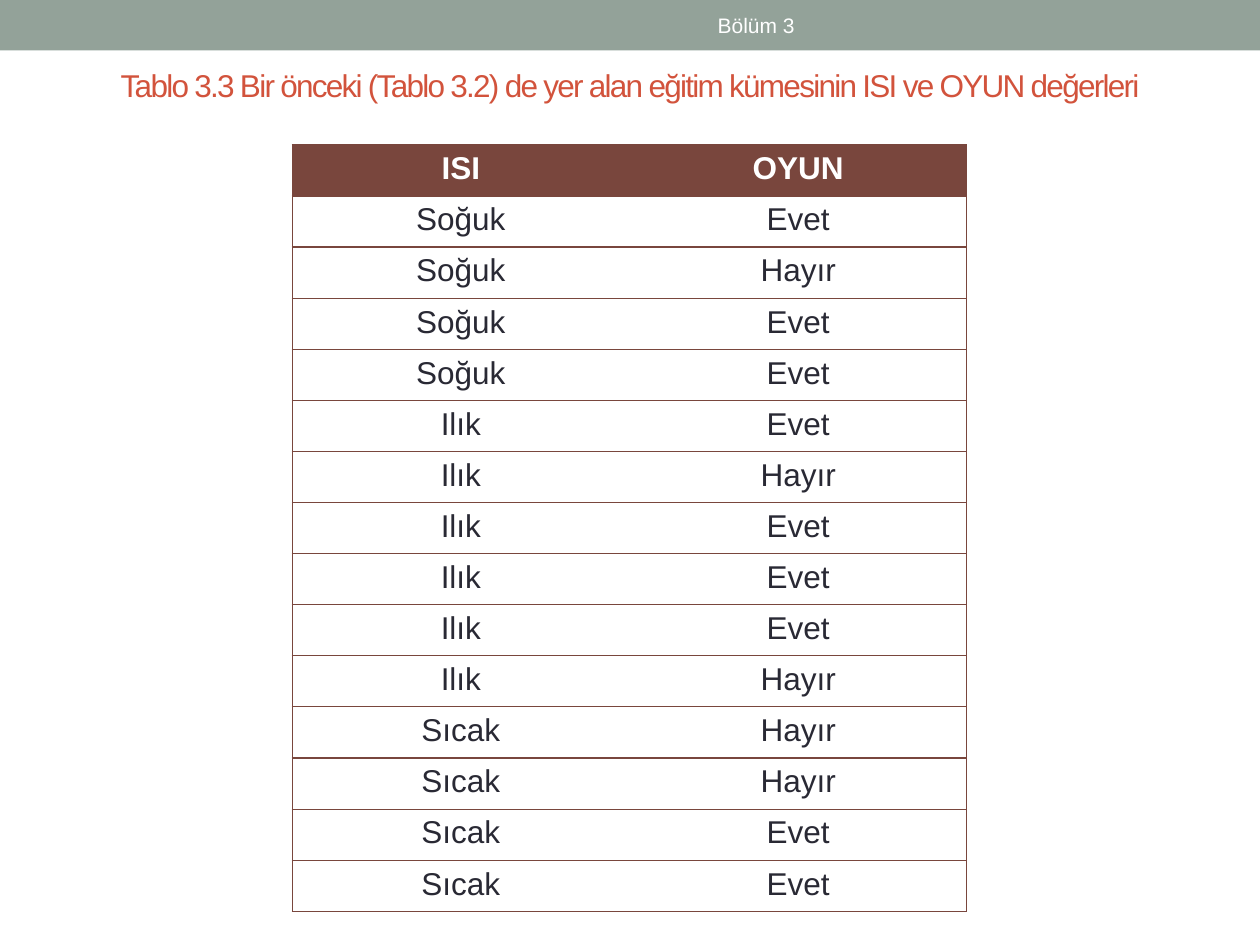
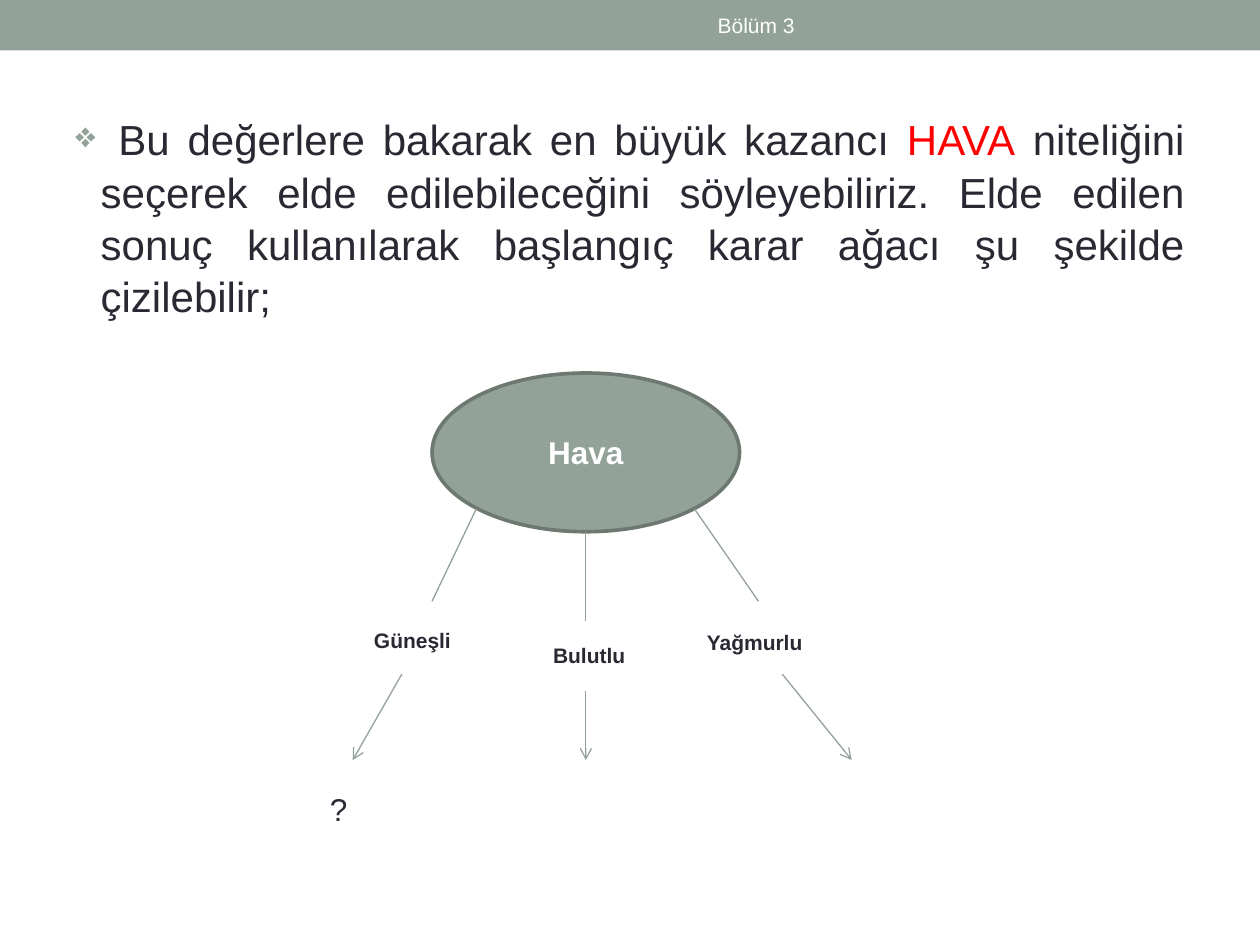
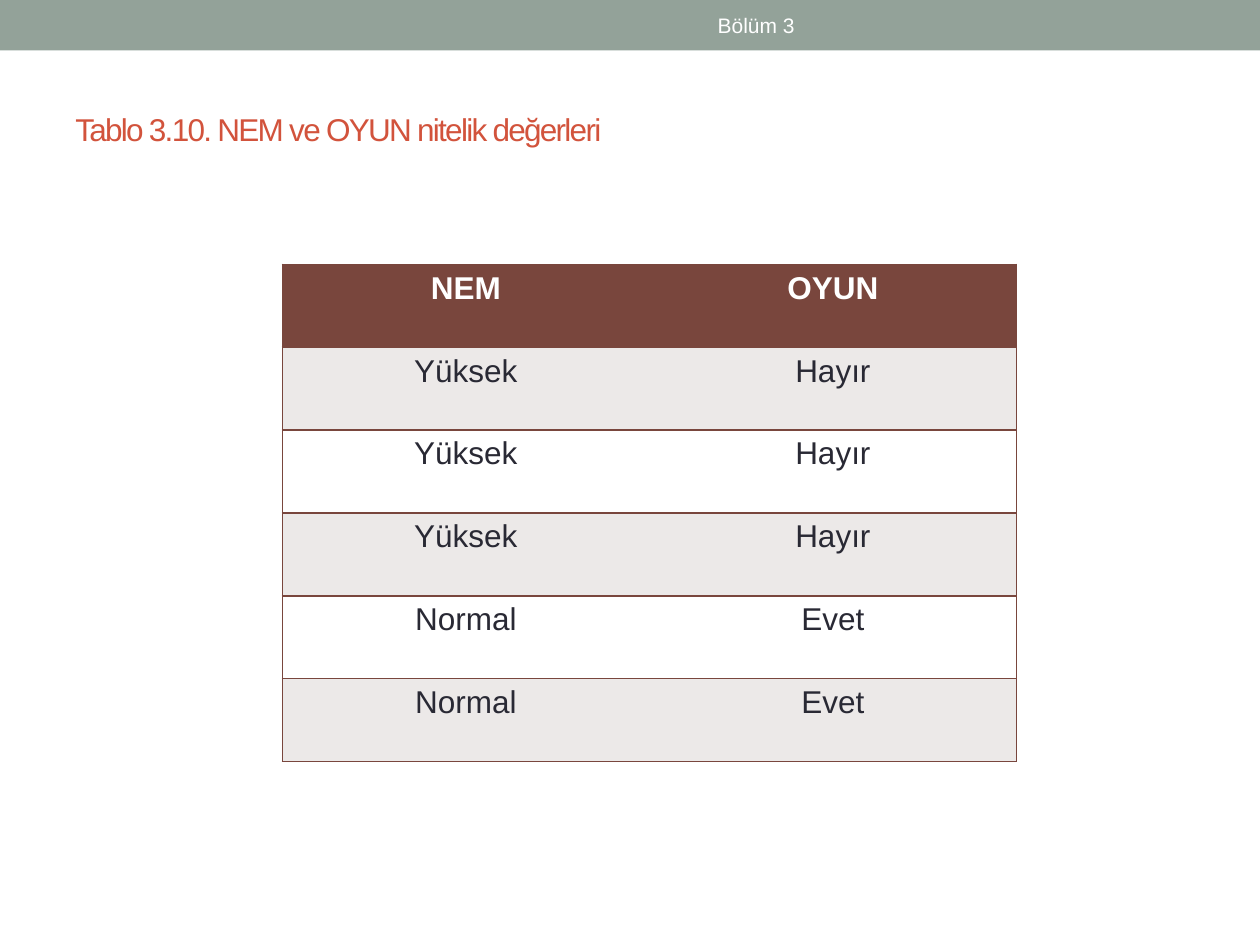
import dataclasses

import lxml.etree
import pptx
import pptx.dml.color
import pptx.enum.shapes
import pptx.enum.text
import pptx.oxml.ns
import pptx.util

Cm = pptx.util.Cm
Pt = pptx.util.Pt
Color = pptx.dml.color.RGBColor.from_string
qn = pptx.oxml.ns.qn
Align = pptx.enum.text.PP_ALIGN
Anchor = pptx.enum.text.MSO_ANCHOR
Shape = pptx.enum.shapes.MSO_SHAPE


@dataclasses.dataclass(frozen=True)
class Theme:
    font: str = "Arial"
    sage: str = "93A299"
    sage_dark: str = "6D7871"
    title: str = "D2533C"
    ink: str = "292934"
    white: str = "FFFFFF"
    accent: str = "FF0000"
    brown: str = "79463D"
    stripe: str = "ECE9E8"
    small: int = 12
    normal: int = 18
    large: int = 24


theme = Theme()


def write(frame, text, size, color, bold=False, align=Align.LEFT, anchor=Anchor.TOP):
    frame.text = text
    frame.word_wrap = True
    frame.vertical_anchor = anchor
    para = frame.paragraphs[0]
    para.alignment = align
    for span in para.runs:
        span.font.name = theme.font
        span.font.size = Pt(size)
        span.font.bold = bold
        span.font.color.rgb = Color(color)
    return para


def add_grid(page, rows, left, top, column_width, row_height, line_width, stripes):
    grid = page.shapes.add_table(
        len(rows), 2, Cm(left), Cm(top), Cm(2 * column_width), Cm(row_height * len(rows))
    ).table
    for row_index, values in enumerate(rows):
        grid.rows[row_index].height = Cm(row_height)
        header = row_index == 0
        for column_index, value in enumerate(values):
            cell = grid.cell(row_index, column_index)
            write(cell.text_frame, value, theme.normal,
                  theme.white if header else theme.ink, header, Align.CENTER)
            visible = {"L": column_index == 0, "R": column_index == 1, "T": True, "B": True}
            properties = cell._tc.get_or_add_tcPr()
            for side, shown in visible.items():
                border = lxml.etree.SubElement(properties, qn(f"a:ln{side}"))
                border.set("w", str(Pt(line_width)))
                if shown:
                    paint = lxml.etree.SubElement(border, qn("a:solidFill"))
                    lxml.etree.SubElement(paint, qn("a:srgbClr")).set("val", theme.brown)
                else:
                    lxml.etree.SubElement(border, qn("a:noFill"))
            if header or stripes:
                fill = theme.brown if header else (theme.white, theme.stripe)[row_index % 2]
                cell.fill.solid()
                cell.fill.fore_color.rgb = Color(fill)
            else:
                cell.fill.background()


deck = pptx.Presentation()
deck.slide_width = Cm(25.4)
deck.slide_height = Cm(19.05)

titles = [
    ("Tablo 3.3 Bir önceki (Tablo 3.2) de yer alan eğitim kümesinin ISI ve OYUN değerleri",
     0.91, 1.6, Align.CENTER),
    None,
    ("Tablo 3.10. NEM ve OYUN nitelik değerleri", 1.47, 2.24, Align.LEFT),
]
pages = []
for title in titles:
    page = deck.slides.add_slide(deck.slide_layouts[6])
    pages.append(page)
    band = page.shapes.add_shape(Shape.RECTANGLE, 0, 0, deck.slide_width, Cm(1.02))
    band.shadow.inherit = False
    band.fill.solid()
    band.fill.fore_color.rgb = Color(theme.sage)
    band.line.fill.background()
    chapter = page.shapes.add_textbox(Cm(9.53), Cm(0.05), Cm(11.43), Cm(0.91))
    write(chapter.text_frame, "Bölüm 3", theme.small, theme.white,
          align=Align.CENTER, anchor=Anchor.MIDDLE)
    if title:
        text, top, height, align = title
        box = page.shapes.add_textbox(Cm(1.27), Cm(top), Cm(22.86), Cm(height))
        para = write(box.text_frame, text, theme.normal, theme.title,
                     align=align, anchor=Anchor.MIDDLE)
        para.runs[0].font._element.set("spc", "-100")

heat_page, tree_page, humidity_page = pages

heat_rows = [
    ("ISI", "OYUN"),
    ("Soğuk", "Evet"),
    ("Soğuk", "Hayır"),
    ("Soğuk", "Evet"),
    ("Soğuk", "Evet"),
    ("Ilık", "Evet"),
    ("Ilık", "Hayır"),
    ("Ilık", "Evet"),
    ("Ilık", "Evet"),
    ("Ilık", "Evet"),
    ("Ilık", "Hayır"),
    ("Sıcak", "Hayır"),
    ("Sıcak", "Hayır"),
    ("Sıcak", "Evet"),
    ("Sıcak", "Evet"),
]
add_grid(heat_page, heat_rows, 5.89, 2.92, 6.8, 1.03, 0.75, stripes=False)

body = tree_page.shapes.add_textbox(Cm(1.27), Cm(2.13), Cm(22.86), Cm(15.88))
para = write(body.text_frame, " Bu değerlere bakarak en büyük kazancı ",
             theme.large, theme.ink, align=Align.JUSTIFY)
para.line_spacing = 1.04
properties = para._p.get_or_add_pPr()
properties.set("marL", str(Cm(0.51)))
properties.set("indent", str(-Cm(0.51)))
bullet_color = lxml.etree.SubElement(properties, qn("a:buClr"))
lxml.etree.SubElement(bullet_color, qn("a:srgbClr")).set("val", theme.sage)
lxml.etree.SubElement(properties, qn("a:buSzPct")).set("val", "85000")
lxml.etree.SubElement(properties, qn("a:buChar")).set("char", "❖")
for text, color in [
    ("HAVA", theme.accent),
    (" niteliğini seçerek elde edilebileceğini söyleyebiliriz. Elde edilen sonuç "
     "kullanılarak başlangıç karar ağacı şu şekilde çizilebilir;", theme.ink),
]:
    span = para.add_run()
    span.text = text
    span.font.name = theme.font
    span.font.size = Pt(theme.large)
    span.font.color.rgb = Color(color)

root = tree_page.shapes.add_shape(Shape.OVAL, Cm(8.71), Cm(7.52), Cm(6.2), Cm(3.2))
root.shadow.inherit = False
root.fill.solid()
root.fill.fore_color.rgb = Color(theme.sage)
root.line.color.rgb = Color(theme.sage_dark)
root.line.width = Pt(2.08)
write(root.text_frame, "Hava", theme.normal, theme.white, True, Align.CENTER, Anchor.MIDDLE)

branches = [
    ("Güneşli", (7.29, 12.52, 2.31), (9.6, 10.26, 8.71, 12.12), (8.1, 13.59, 7.11, 15.32)),
    ("Bulutlu", (10.9, 12.83, 2.21), (11.81, 10.72, 11.81, 12.52), (11.81, 13.92, 11.81, 15.32)),
    ("Yağmurlu", (14.0, 12.57, 2.49), (14.0, 10.26, 15.29, 12.12), (15.77, 13.59, 17.17, 15.32)),
]
for name, (left, top, width), stem, arrow in branches:
    label = tree_page.shapes.add_textbox(Cm(left), Cm(top), Cm(width), Cm(0.76))
    write(label.text_frame, name, theme.small, theme.ink, True)
    for ends in (stem, arrow):
        link = tree_page.shapes.add_connector(
            pptx.enum.shapes.MSO_CONNECTOR.STRAIGHT, *[Cm(value) for value in ends]
        )
        link.line.color.rgb = Color(theme.sage)
        link.line.width = Pt(0.75)
        lxml.etree.SubElement(link._element.spPr, qn("a:effectLst"))
        if ends is arrow:
            outline = link.line._get_or_add_ln()
            lxml.etree.SubElement(outline, qn("a:tailEnd")).set("type", "arrow")

unknown = tree_page.shapes.add_textbox(Cm(6.4), Cm(15.8), Cm(1.19), Cm(1.02))
write(unknown.text_frame, "?", theme.normal, theme.ink)

humidity_rows = [
    ("NEM", "OYUN"),
    ("Yüksek", "Hayır"),
    ("Yüksek", "Hayır"),
    ("Yüksek", "Hayır"),
    ("Normal", "Evet"),
    ("Normal", "Evet"),
]
add_grid(humidity_page, humidity_rows, 5.69, 5.33, 7.4, 1.67, 1, stripes=True)

deck.save("out.pptx")
